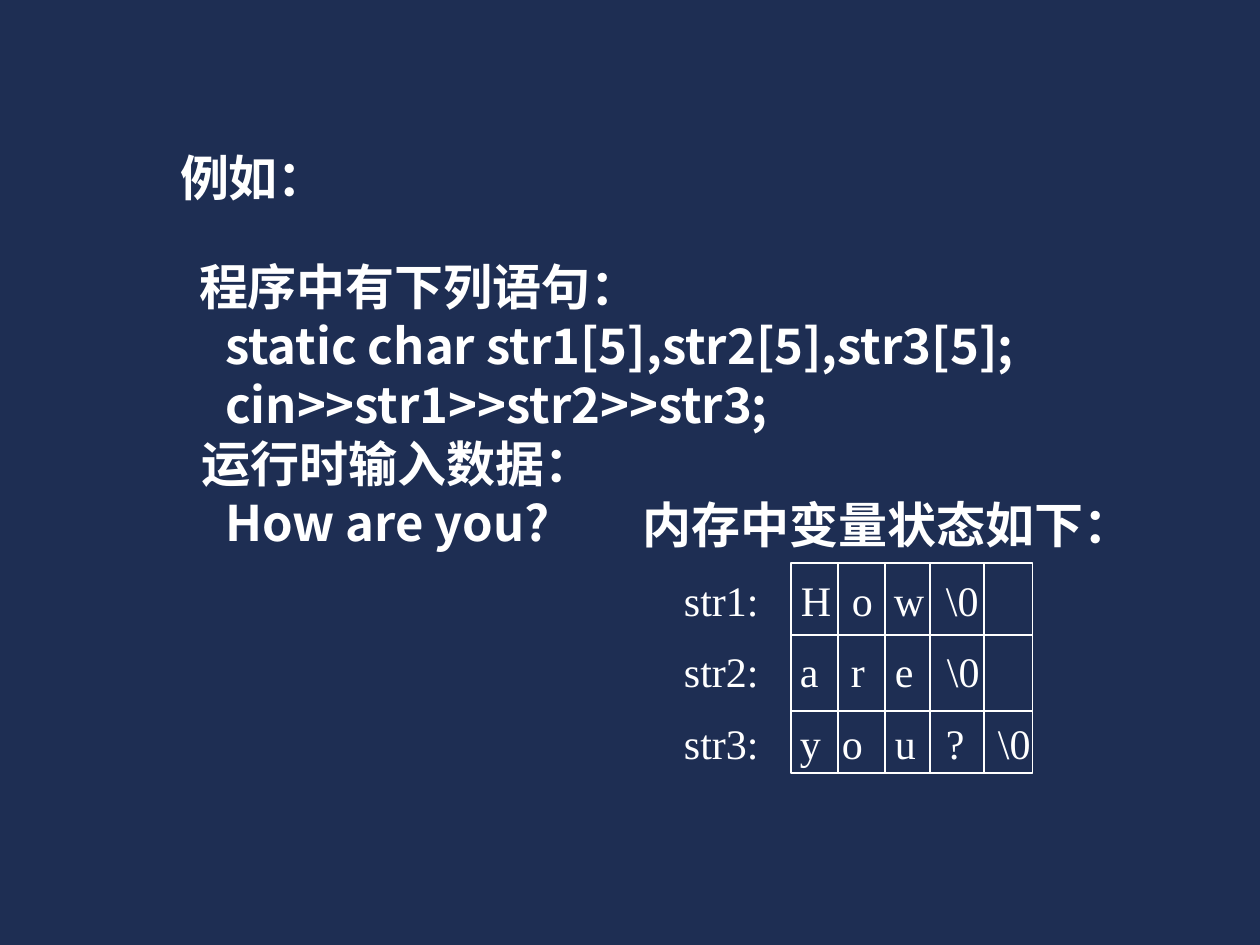
"""Builds a slide on reading strings with cin and how they are stored in memory."""
import pptx
import pptx.dml.color
import pptx.enum.shapes
import pptx.enum.text
import pptx.oxml
import pptx.oxml.ns
import pptx.util

PIXEL = 914400 // 126
WHITE = "FFFFFF"
SANS = "Noto Sans CJK SC"
SERIF = "Times New Roman"
NAMESPACE = pptx.oxml.ns.nsdecls("a")


def color(value):
    return pptx.dml.color.RGBColor.from_string(value)


def add_line_of_text(paragraph, text, size, font, bold, spacing):
    paragraph.alignment = pptx.enum.text.PP_ALIGN.LEFT
    paragraph.line_spacing = pptx.util.Pt(spacing)
    paragraph.space_before = paragraph.space_after = pptx.util.Pt(0)
    run = paragraph.add_run()
    run.text = text
    run.font.size = pptx.util.Pt(size)
    run.font.name = font
    run.font.bold = bold
    run.font.color.rgb = color(WHITE)
    east_asian = pptx.oxml.parse_xml(f'<a:ea {NAMESPACE} typeface="{SANS}"/>')
    run.font._element.find(pptx.oxml.ns.qn("a:latin")).addnext(east_asian)


presentation = pptx.Presentation()
presentation.slide_width = 1260 * PIXEL
presentation.slide_height = 945 * PIXEL
slide = presentation.slides.add_slide(presentation.slide_layouts[1])
slide.background.fill.solid()
slide.background.fill.fore_color.rgb = color("1E2E53")

title, body = slide.placeholders
memory = slide.shapes.add_textbox(0, 0, 0, 0)
blocks = [
    (title, (180, 147, 1010, 60), SANS, [("例如：", 0)]),
    (body, (180, 256, 1010, 300), SANS, [
        ("程序中有下列语句：", 19),
        ("static char str1[5],str2[5],str3[5];", 45),
        ("cin>>str1>>str2>>str3;", 45),
        ("运行时输入数据：", 22),
        ("How are you?", 45),
    ]),
    (memory, (643, 494, 518, 280), SERIF, [("内存中变量状态如下：", 0)]),
]
for shape, box, font, lines in blocks:
    shape.left, shape.top, shape.width, shape.height = [n * PIXEL for n in box]
    frame = shape.text_frame
    frame.word_wrap = True
    frame.auto_size = pptx.enum.text.MSO_AUTO_SIZE.NONE
    frame.vertical_anchor = pptx.enum.text.MSO_ANCHOR.TOP
    frame.margin_left = frame.margin_right = 0
    frame.margin_top = frame.margin_bottom = 0
    for index, (text, indent) in enumerate(lines):
        paragraph = frame.add_paragraph() if index else frame.paragraphs[0]
        add_line_of_text(paragraph, text, 28, font, True, 33.7)
        properties = paragraph._p.get_or_add_pPr()
        properties.set("marL", str(indent * PIXEL))
        properties.set("indent", "0")
        properties.append(pptx.oxml.parse_xml(f"<a:buNone {NAMESPACE}/>"))

variables = [
    (["str1:", "H", "o", "w", "\\0"], [41, 158, 209, 251, 303]),
    (["str2:", "a", "r", "e", "\\0"], [41, 157, 208, 252, 304]),
    (["str3:", "y", "o", "u", "?", "\\0"], [41, 157, 199, 252, 303, 355]),
]
for texts, stops in variables:
    paragraph = memory.text_frame.add_paragraph()
    add_line_of_text(paragraph, "\t" + "\t".join(texts), 24, SERIF, False, 41)
    tabs = "".join(f'<a:tab pos="{stop * PIXEL}" algn="l"/>' for stop in stops)
    paragraph._p.get_or_add_pPr().append(
        pptx.oxml.parse_xml(f"<a:tabLst {NAMESPACE}>{tabs}</a:tabLst>"))

left, top, right, bottom = 791, 563, 1033, 773
grid = slide.shapes.add_shape(
    pptx.enum.shapes.MSO_SHAPE.RECTANGLE, left * PIXEL, top * PIXEL,
    (right - left) * PIXEL, (bottom - top) * PIXEL)
grid.shadow.inherit = False
grid.fill.background()
grid.line.color.rgb = color(WHITE)
grid.line.width = pptx.util.Pt(0.75)

dividers = [(left, y, right, y) for y in (635, 711)]
dividers += [(x, top, x, bottom) for x in (838, 885, 930, 984)]
for ends in dividers:
    divider = slide.shapes.add_connector(
        pptx.enum.shapes.MSO_CONNECTOR.STRAIGHT, *[n * PIXEL for n in ends])
    divider.line.color.rgb = color(WHITE)
    divider.line.width = pptx.util.Pt(0.75)
    divider._element.spPr.append(
        pptx.oxml.parse_xml(f"<a:effectLst {NAMESPACE}/>"))

presentation.save("out.pptx")
